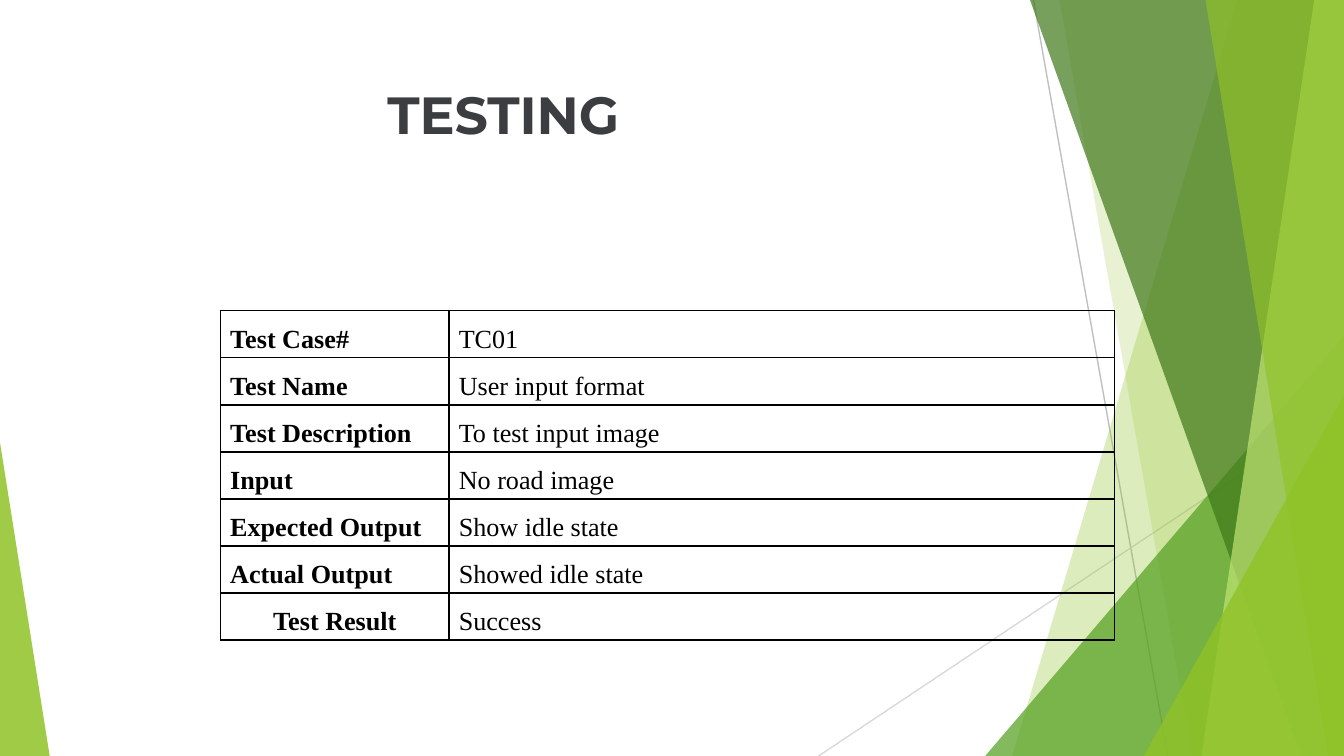
from lxml.etree import SubElement
from pptx import Presentation
from pptx.dml.color import RGBColor
from pptx.enum.shapes import MSO_CONNECTOR, MSO_SHAPE
from pptx.enum.text import PP_ALIGN
from pptx.oxml.ns import qn
from pptx.util import Cm, Pt

WIDTH, HEIGHT = 25.4, 14.29
TOP = -0.02

TITLE = "TESTING"
ROWS = [
    ("Test Case#", "TC01"),
    ("Test Name", "User input format"),
    ("Test Description", "To test input image"),
    ("Input", "No road image"),
    ("Expected Output", "Show idle state"),
    ("Actual Output", "Showed idle state"),
    ("Test Result", "Success"),
]
COLUMN_WIDTHS = (4.32, 12.57)
ROW_HEIGHT = 0.82

LINES = [
    ((19.53, 0), (22.07, HEIGHT), "BFBFBF"),
    ((WIDTH, 7.67), (15.47, HEIGHT), "D9D9D9"),
]
FACETS = [
    ("band", 23.39, 19.13, "90C226", 30),
    ("band", 20.02, 22.53, "90C226", 20),
    ("triangle", (18.62, 6.35, WIDTH), 1, "54A021", 72),
    ("band", 19.46, 24.59, "3F7819", 70),
    ("band", 24.84, 22.71, "C0E474", 70),
    ("band", 22.78, 25.1, "90C226", 65),
    ("triangle", (21.62, 7.47, WIDTH), 1, "90C226", 80),
    ("triangle", (0, 8.36, 0.94), 0, "90C226", 85),
]


def color(value):
    return RGBColor.from_string(value)


def paint(shape, value, opacity):
    shape.shadow.inherit = False
    shape.line.fill.background()
    shape.fill.solid()
    shape.fill.fore_color.rgb = color(value)
    tint = shape.fill._xPr.find(qn("a:solidFill"))[0]
    SubElement(tint, qn("a:alpha"), val=str(opacity * 1000))


def add_line(page, start, end, value):
    points = [Cm(number) for number in start + end]
    line = page.shapes.add_connector(MSO_CONNECTOR.STRAIGHT, *points)
    line.line.color.rgb = color(value)
    line.line.width = Pt(0.75)
    SubElement(line._element.spPr, qn("a:effectLst"))


def add_band(page, top_x, bottom_x):
    builder = page.shapes.build_freeform(Cm(top_x), Cm(TOP))
    corners = [(WIDTH, TOP), (WIDTH, HEIGHT), (bottom_x, HEIGHT)]
    builder.add_line_segments([(Cm(x), Cm(y)) for x, y in corners])
    return builder.convert_to_shape()


def add_triangle(page, bounds, apex):
    left, top, right = bounds
    triangle = page.shapes.add_shape(
        MSO_SHAPE.ISOSCELES_TRIANGLE,
        Cm(left), Cm(top), Cm(right - left), Cm(HEIGHT - top))
    triangle.adjustments[0] = apex
    return triangle


def write(frame, text, font, size, value="000000", bold=False,
          align=PP_ALIGN.LEFT, spacing=None, after=None):
    frame.word_wrap = True
    para = frame.paragraphs[0]
    para.alignment = align
    para.line_spacing = spacing
    para.space_after = after
    span = para.add_run()
    span.text = text
    span.font.name = font
    span.font.size = Pt(size)
    span.font.bold = bold
    span.font.color.rgb = color(value)


def set_margins(target, side, vertical):
    target.margin_left = target.margin_right = Cm(side)
    target.margin_top = target.margin_bottom = Cm(vertical)


def add_borders(cell):
    properties = cell._tc.get_or_add_tcPr()
    for index, edge in enumerate(("a:lnL", "a:lnR", "a:lnT", "a:lnB")):
        border = properties.makeelement(qn(edge), {"w": str(Pt(1))})
        fill = SubElement(border, qn("a:solidFill"))
        SubElement(fill, qn("a:srgbClr"), val="000000")
        properties.insert(index, border)


def add_title(page):
    box = page.shapes.add_textbox(Cm(7.14), Cm(1.45), Cm(13.64), Cm(2.49))
    set_margins(box.text_frame, 0.18, 0.1)
    write(box.text_frame, TITLE, "Montserrat", 28, value="3C3D40", bold=True)


def add_test_table(page):
    table = page.shapes.add_table(
        len(ROWS), len(COLUMN_WIDTHS), Cm(4.17), Cm(5.87),
        Cm(sum(COLUMN_WIDTHS)), Cm(ROW_HEIGHT * len(ROWS))).table
    table.first_row = table.horz_banding = False
    for column, width in zip(table.columns, COLUMN_WIDTHS):
        column.width = Cm(width)
    for row_index, texts in enumerate(ROWS):
        table.rows[row_index].height = Cm(ROW_HEIGHT)
        for column_index, text in enumerate(texts):
            cell = table.cell(row_index, column_index)
            centered = text == "Test Result"
            cell.fill.background()
            set_margins(cell, 0.18, 0)
            add_borders(cell)
            write(cell.text_frame, text, "Times New Roman", 14,
                  bold=column_index == 0, spacing=1.5, after=Pt(10),
                  align=PP_ALIGN.CENTER if centered else PP_ALIGN.JUSTIFY)


def main():
    deck = Presentation()
    deck.slide_width, deck.slide_height = Cm(WIDTH), Cm(HEIGHT)
    page = deck.slides.add_slide(deck.slide_layouts[6])
    for start, end, value in LINES:
        add_line(page, start, end, value)
    makers = {"band": add_band, "triangle": add_triangle}
    for kind, first, second, value, opacity in FACETS:
        paint(makers[kind](page, first, second), value, opacity)
    add_title(page)
    add_test_table(page)
    deck.save("out.pptx")


if __name__ == "__main__":
    main()
